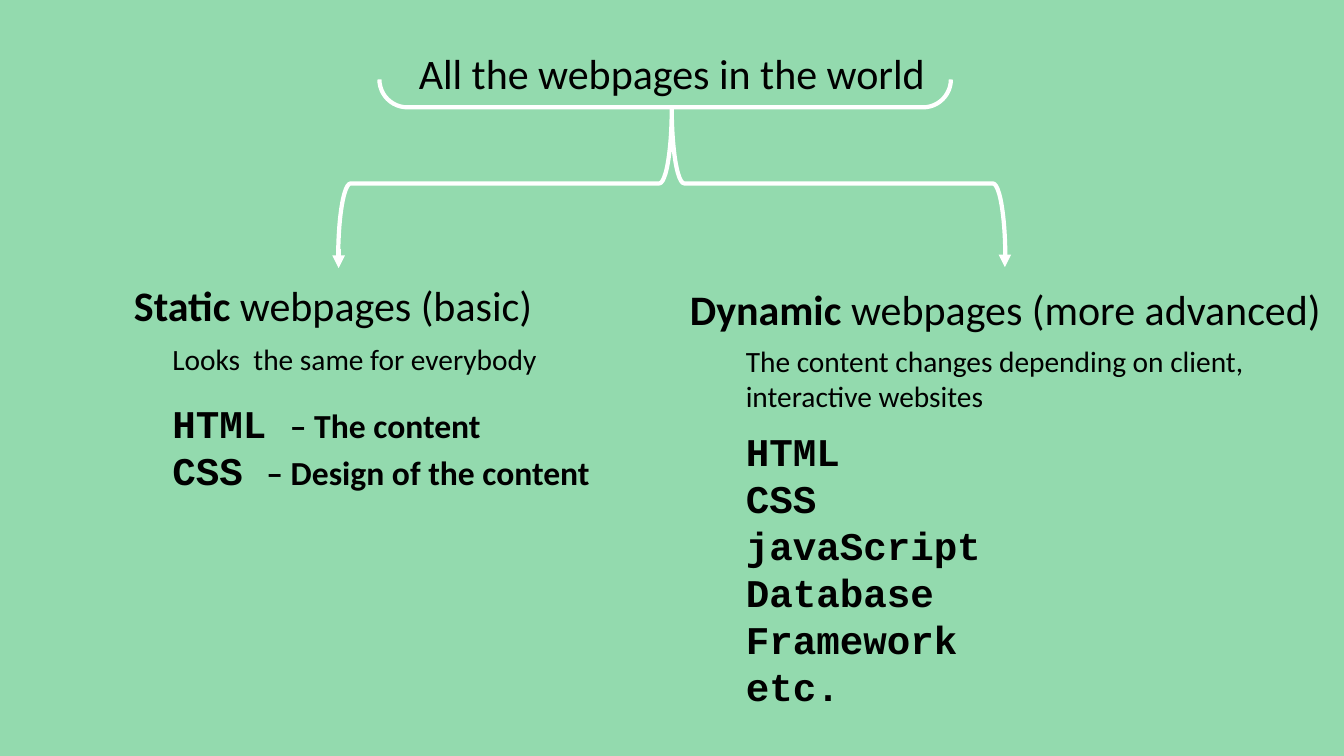
from lxml import etree
from pptx import Presentation
from pptx.dml.color import RGBColor
from pptx.enum.shapes import MSO_CONNECTOR, MSO_SHAPE
from pptx.enum.text import MSO_ANCHOR, MSO_AUTO_SIZE, PP_ALIGN
from pptx.oxml.ns import qn
from pptx.util import Pt

LEFT, MID = PP_ALIGN.LEFT, PP_ALIGN.CENTER
FRAME = {"word_wrap": True, "auto_size": MSO_AUTO_SIZE.NONE,
         "vertical_anchor": MSO_ANCHOR.TOP}
HEAD = {"name": "Calibri", "size": Pt(30), "bold": False}
STRONG = {**HEAD, "bold": True}
NOTE = {"name": "Calibri", "size": Pt(21), "bold": False}
CODE = {"name": "Courier New", "size": Pt(28), "bold": True}
ROLE = {"name": "Calibri", "size": Pt(24), "bold": True}


def color(fmt, code):
    fmt.rgb = RGBColor.from_string(code)


def write(shape, box, align, lines):
    """Place a shape and fill it with lines, each a list of (text, font) runs."""
    shape.left, shape.top, shape.width, shape.height = map(Pt, box)
    frame = shape.text_frame
    for key, value in FRAME.items():
        setattr(frame, key, value)
    for i, runs in enumerate(lines):
        para = frame.add_paragraph() if i else frame.paragraphs[0]
        para.alignment = align
        para.space_before = Pt(0)
        props = para._p.get_or_add_pPr()
        props.set("marL", "0")
        props.set("indent", "0")
        etree.SubElement(props, qn("a:buNone"))
        for text, style in runs:
            run = para.add_run()
            run.text = text
            for key, value in style.items():
                setattr(run.font, key, value)
            color(run.font.color, "000000")


deck = Presentation()
deck.slide_width, deck.slide_height = Pt(960), Pt(540)
slide = deck.slides.add_slide(deck.slide_layouts[4])
slide.background.fill.solid()
color(slide.background.fill.fore_color, "93DAAE")
shapes = slide.shapes
holders = {h.placeholder_format.idx: h for h in slide.placeholders}

# Title and the two headings
write(shapes.title, (0, 30.2, 960, 44), MID,
      [[("All the webpages in the world", HEAD)]])
write(holders[1], (0, 195.8, 476, 44), MID,
      [[("Static", STRONG), (" webpages (basic)", HEAD)]])
write(holders[3], (476, 198.7, 484.5, 44), MID,
      [[("Dynamic", STRONG), (" webpages (more advanced)", HEAD)]])

# Lists of techniques
write(holders[2], (116, 281.5, 468, 75), LEFT,
      [[("HTML ", CODE), ("– The content", ROLE)],
       [("CSS ", CODE), ("– Design of the content", ROLE)]])
tools = ["HTML", "CSS", "javaScript", "Database", "Framework", "etc."]
write(holders[4], (525.6, 301.7, 335.5, 211), LEFT,
      [[(tool, CODE)] for tool in tools])

# Descriptions
notes = [
    ("Looks  the same for everybody", (116, 239.8, 410, 32.5)),
    ("The content changes depending on client, interactive websites",
     (525.6, 241.2, 425.5, 58.5)),
]
for text, box in notes:
    write(shapes.add_textbox(0, 0, 0, 0), box, LEFT, [[(text, NOTE)]])

# Bracket under the title and brace that splits it in two
marks = [
    (MSO_SHAPE.DOUBLE_BRACKET, (415.4, -187.2, 119.5, 408.2)),
    (MSO_SHAPE.RIGHT_BRACE, (426.2, -107.3, 107.3, 476.6)),
]
for kind, box in marks:
    mark = shapes.add_shape(kind, *map(Pt, box))
    mark.rotation = 270
    mark.shadow.inherit = False
    mark.fill.background()
    color(mark.line.color, "FFFFFF")
    mark.line.width = Pt(3)

# Arrows down to each heading
for x, y in [(241.9, 177.8), (717.8, 177.1)]:
    arrow = shapes.add_connector(MSO_CONNECTOR.STRAIGHT,
                                 Pt(x), Pt(y), Pt(x), Pt(y + 13.7))
    color(arrow.line.color, "FFFFFF")
    arrow.line.width = Pt(3)
    etree.SubElement(arrow.line._get_or_add_ln(), qn("a:tailEnd"), type="triangle")
    etree.SubElement(arrow._element.spPr, qn("a:effectLst"))

deck.save("out.pptx")
